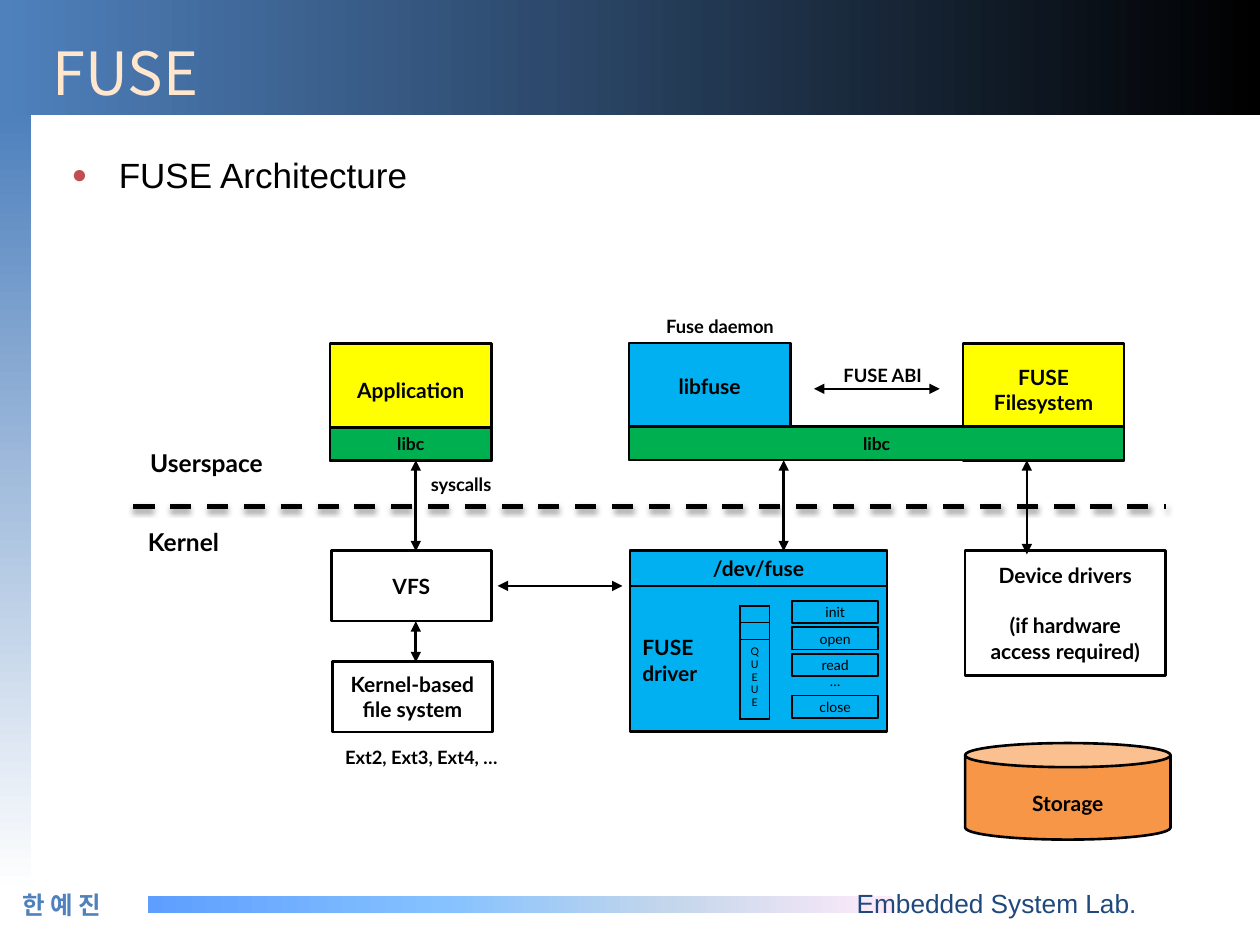
import pptx
import pptx.util
import pptx.dml.color
import pptx.enum.dml
import pptx.enum.shapes
import pptx.enum.text
import pptx.oxml
import pptx.oxml.ns

Pt = pptx.util.Pt
SHAPE = pptx.enum.shapes.MSO_SHAPE
ALIGN = pptx.enum.text.PP_ALIGN
ANCHOR = pptx.enum.text.MSO_ANCHOR
BLACK, WHITE, YELLOW, BLUE, GREEN, ORANGE = (
    "000000", "FFFFFF", "FFFF00", "00B0F0", "00B050", "F79646")


def rgb(value):
    return pptx.dml.color.RGBColor.from_string(value)


def xml(tag, attrs="", inner=""):
    ns = pptx.oxml.ns.nsdecls("a")
    return pptx.oxml.parse_xml(f"<a:{tag} {ns} {attrs}>{inner}</a:{tag}>")


def write(tf, text, size=12, font="Lato", color=BLACK, bold=False,
          align=ALIGN.CENTER, anchor=ANCHOR.MIDDLE, insets=(0, 0, 0, 0), before=0):
    tf.word_wrap = True
    tf.vertical_anchor = anchor
    tf.margin_left, tf.margin_top, tf.margin_right, tf.margin_bottom = map(Pt, insets)
    for i, line in enumerate(text.split("\n")):
        p = tf.add_paragraph() if i else tf.paragraphs[0]
        p.alignment = align
        p.space_before = Pt(before)
        r = p.add_run()
        r.text = line
        r.font.size = Pt(size)
        r.font.bold = bold
        r.font.color.rgb = rgb(color)
        r.font.name = font
        r._r.get_or_add_rPr().append(xml("ea", f'typeface="{font}"'))
    return tf


class Slide:
    font, korean, plain = "Lato", "Noto Sans CJK KR", "Arial"
    text_insets = (7.2, 3.6, 7.2, 3.6)

    def __init__(self, prs):
        self.s = prs.slides.add_slide(prs.slide_layouts[5])

    def title(self, text, x, y, w, h):
        sp = self.s.shapes.title
        sp.left, sp.top, sp.width, sp.height = map(Pt, (x, y, w, h))
        tf = write(sp.text_frame, text, size=34, font=self.korean, color="FFE6CD",
                   align=ALIGN.LEFT, anchor=ANCHOR.BOTTOM, insets=self.text_insets)
        tf.paragraphs[0].line_spacing = 0.9

    def band(self, x, y, w, h, stops, angle=0):
        sp = self.s.shapes.add_shape(SHAPE.RECTANGLE, *map(Pt, (x, y, w, h)))
        sp.shadow.inherit = False
        sp.line.fill.background()
        gs = "".join(f'<a:gs pos="{pos * 1000}"><a:srgbClr val="{c}"/></a:gs>'
                     for pos, c in stops)
        sp._element.spPr.insert(2, xml(
            "gradFill", 'rotWithShape="1"',
            f'<a:gsLst>{gs}</a:gsLst><a:lin ang="{angle * 60000}" scaled="0"/>'))

    def box(self, text, x, y, w, h, fill=None, line=1.5, shape=SHAPE.RECTANGLE,
            bold=True, **fmt):
        sp = self.s.shapes.add_shape(shape, *map(Pt, (x, y, w, h)))
        sp.shadow.inherit = False
        if fill:
            sp.fill.solid()
            sp.fill.fore_color.rgb = rgb(fill)
        else:
            sp.fill.background()
        sp.line.color.rgb = rgb(BLACK)
        sp.line.width = Pt(line)
        return write(sp.text_frame, text, bold=bold, **fmt)

    def label(self, text, x, y, w, h, **fmt):
        sp = self.s.shapes.add_textbox(*map(Pt, (x, y, w, h)))
        fmt = {"anchor": ANCHOR.TOP, "insets": self.text_insets, **fmt}
        return write(sp.text_frame, text, **fmt)

    def bullet(self, text, x, y, w, h):
        tf = self.label(text, x, y, w, h, size=20, font=self.plain,
                        align=ALIGN.LEFT, before=2)
        pPr = tf.paragraphs[0]._p.get_or_add_pPr()
        pPr.set("marL", str(Pt(27)))
        pPr.set("indent", str(-Pt(27)))
        pPr.append(xml("buClr", inner='<a:srgbClr val="C0504D"/>'))
        pPr.append(xml("buSzPct", 'val="75000"'))
        pPr.append(xml("buFont", 'typeface="Arial"'))
        pPr.append(xml("buChar", 'char="●"'))

    def connector(self, x1, y1, x2, y2, width=1.5, effect=""):
        cn = self.s.shapes.add_connector(
            pptx.enum.shapes.MSO_CONNECTOR.STRAIGHT, *map(Pt, (x1, y1, x2, y2)))
        cn.line.color.rgb = rgb(BLACK)
        cn.line.width = Pt(width)
        cn._element.spPr.append(xml("effectLst", inner=effect))
        return cn

    def arrow(self, x1, y1, x2, y2):
        ln = self.connector(x1, y1, x2, y2).line._get_or_add_ln()
        for end in ("headEnd", "tailEnd"):
            ln.append(xml(end, 'type="triangle"'))

    def divider(self, x1, x2, y):
        shadow = (f'<a:outerShdw blurRad="{Pt(3.1)}" dist="{Pt(1.8)}" dir="5400000">'
                  '<a:srgbClr val="000000"><a:alpha val="35000"/></a:srgbClr>'
                  '</a:outerShdw>')
        cn = self.connector(x1, y, x2, y, 3, shadow)
        cn.line.dash_style = pptx.enum.dml.MSO_LINE.DASH

    def queue(self, texts, x, y, w, heights):
        table = self.s.shapes.add_table(
            len(texts), 1, *map(Pt, (x, y, w, sum(heights)))).table
        table.first_row = table.horz_banding = False
        table.columns[0].width = Pt(w)
        for row, text, height in zip(table.rows, texts, heights):
            row.height = Pt(height)
            cell = row.cells[0]
            cell.margin_left = cell.margin_right = cell.margin_bottom = 0
            cell.margin_top = Pt(3.6) if text else 0
            cell.fill.background()
            tcPr = cell._tc.get_or_add_tcPr()
            for i, side in enumerate("LRTB"):
                tcPr.insert(i, xml(
                    f"ln{side}", f'w="{Pt(1)}"',
                    '<a:solidFill><a:srgbClr val="000000"/></a:solidFill>'))
            if text:
                for i, letter in enumerate(text):
                    tf = cell.text_frame
                    p = tf.add_paragraph() if i else tf.paragraphs[0]
                    p.alignment = ALIGN.CENTER
                    r = p.add_run()
                    r.text = letter
                    r.font.size = Pt(6)
                    r.font.name = self.font
                    r.font.color.rgb = rgb(BLACK)
            else:
                cell.text_frame.paragraphs[0]._p.append(xml("endParaRPr", 'sz="600"'))


def main():
    prs = pptx.Presentation()
    prs.slide_width, prs.slide_height = Pt(720), Pt(540)
    s = Slide(prs)

    s.band(0, 66, 18, 444.5, [(0, "4F81BD"), (100, WHITE)], 90)
    s.band(84.4, 512, 425.5, 10,
           [(0, "5E9EFF"), (40, "85C2FF"), (70, "C4D6EB"), (100, "FFEBFA")])
    s.band(0, 0, 720, 66, [(0, "4F81BD"), (100, BLACK)])
    s.label("한 예 진", 5.8, 504.7, 78.5, 24.5, size=14, font=s.korean,
            color="4F81BD", bold=True, align=ALIGN.LEFT, anchor=ANCHOR.BOTTOM)
    s.label("Embedded System Lab.", 482.4, 503.3, 176, 25, size=15, font=s.plain,
            color="1F497D", align=ALIGN.LEFT, before=2)
    s.title("FUSE", 23, 11.5, 674.6, 54)
    s.s.shapes._spTree.append(s.s.shapes.title._element)
    s.bullet("FUSE Architecture", 33.8, 84.2, 663.8, 40)

    raised = (0, 0, 0, 14.4)
    s.box("Application", 188.6, 196.4, 92.2, 67, YELLOW, insets=raised)
    s.box("FUSE\nFilesystem", 550.2, 196.4, 92.2, 67, YELLOW, insets=raised)
    tf = s.box("Device drivers\n(if hardware\naccess required)",
               551.5, 314.6, 114.5, 71.3, WHITE)
    tf.paragraphs[1].space_before = Pt(14.4)
    s.box("Storage", 551.5, 424.6, 117.4, 55.2, ORANGE, shape=SHAPE.CAN,
          insets=(0, 7, 0, 0))

    s.divider(76.3, 666, 289.6)
    s.label("Userspace", 69.8, 252.7, 96.5, 24.5, size=14, bold=True)
    s.label("Kernel", 59.8, 297.4, 90, 24.5, size=14, bold=True)

    s.box("VFS", 189.4, 314.6, 91.4, 40.4, WHITE)
    s.box("Kernel-based\nfile system", 190, 378, 91.4, 40.4, WHITE)
    s.box("FUSE\ndriver", 360, 314.6, 147, 103.6, BLUE, align=ALIGN.LEFT,
          insets=(7.2, 21.6, 0, 0))
    s.box("/dev/fuse", 360, 314.6, 147, 20.2, BLUE)
    s.queue(["", "", "QUEUE"], 422.8, 346.2, 17, [9.6, 9.6, 45.4])
    for name, y in (("init", 343.4), ("open", 358.5), ("read", 373.6), ("close", 397.5)):
        s.box(name, 452.7, y, 49.2, 12.7, line=1, bold=False, size=8)
    s.label("…", 452.7, 383, 49.2, 12.7, size=8, anchor=ANCHOR.MIDDLE,
            insets=(0, 0, 0, 0))

    s.box("libfuse", 359.4, 196, 92.2, 67, BLUE, anchor=ANCHOR.TOP,
          insets=(3.6, 17.3, 3.6, 3.6))
    s.box("libc", 359.4, 243.6, 283, 19.4, GREEN, size=10)
    s.box("libc", 188.6, 244.2, 92.2, 18.8, GREEN, size=10)

    for x1, y1, x2, y2 in ((237.6, 263, 237.6, 315), (237.6, 355, 237.6, 378.5),
                           (284.4, 334.8, 355.7, 334.8), (586.8, 263, 586.8, 316.8),
                           (447.8, 263, 447.8, 315), (465.1, 222.2, 537, 222.2)):
        s.arrow(x1, y1, x2, y2)

    for text, x, y, w in (("syscalls", 233.3, 267.1, 60.5),
                          ("Ext2, Ext3, Ext4, …", 172.8, 423.1, 136),
                          ("FUSE ABI", 467.3, 204.5, 74.2),
                          ("Fuse daemon", 367.2, 176.4, 88.6)):
        s.label(text, x, y, w, 20.2, size=10.5, bold=True)

    prs.save("out.pptx")


if __name__ == "__main__":
    main()
